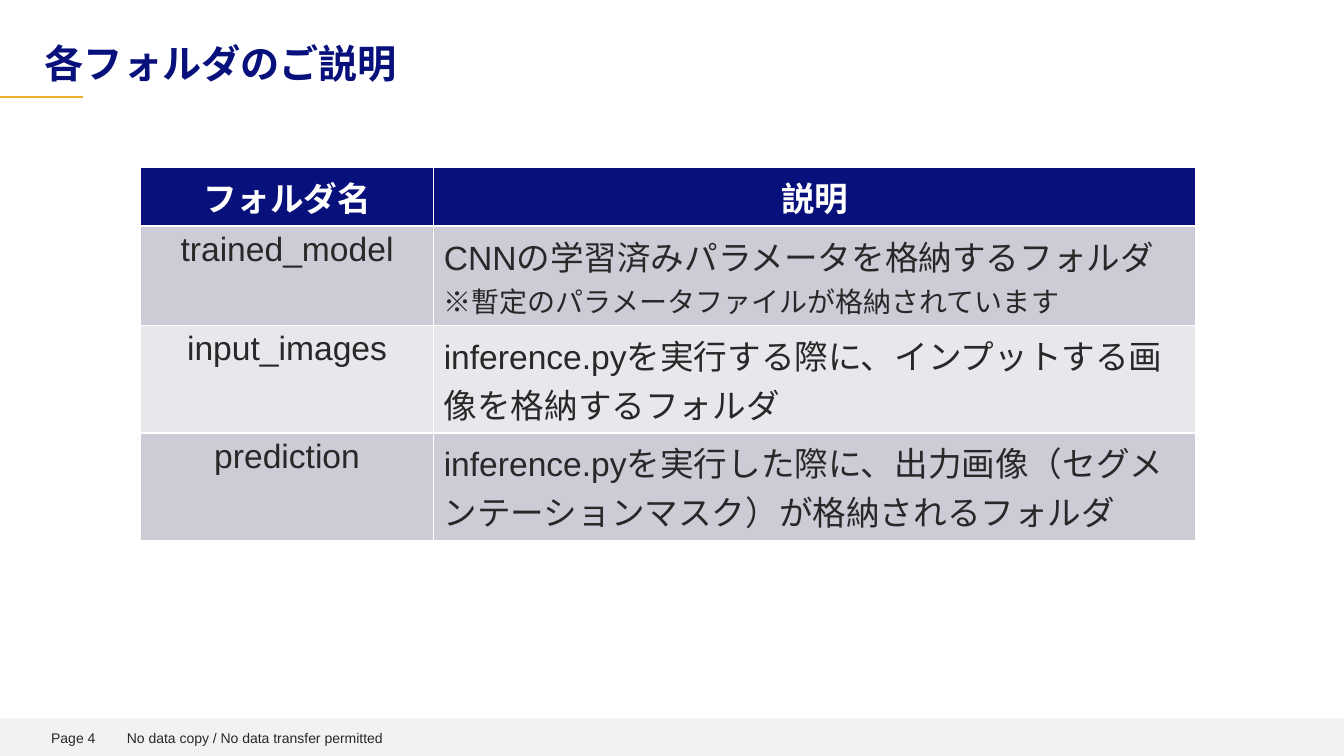
import lxml.etree
import pptx
import pptx.dml.color
import pptx.enum.shapes
import pptx.enum.text
import pptx.oxml.ns
import pptx.util

Pt = pptx.util.Pt
ALIGN = pptx.enum.text.PP_ALIGN
ANCHOR = pptx.enum.text.MSO_ANCHOR

FONT = "Arial"
NAVY, GOLD, WHITE = "08107B", "E9B226", "FFFFFF"
DARK, FOOTER_GREY = "282828", "F2F2F2"
BANDS = ("CCCCD7", "E7E7EC")

HEADERS = ("フォルダ名", "説明")
FOLDERS = (
    ("trained_model", "CNNの学習済みパラメータを格納するフォルダ",
     "※暫定のパラメータファイルが格納されています"),
    ("input_images", "inference.pyを実行する際に、インプットする画像を格納するフォルダ"),
    ("prediction",
     "inference.pyを実行した際に、出力画像（セグメンテーションマスク）が格納されるフォルダ"),
)
COLUMN_WIDTHS = (209.5, 544.3)
ROW_HEIGHTS = (41.8, 71, 76.8, 76.8)


def color(value):
    return pptx.dml.color.RGBColor.from_string(value)


def add_run(paragraph, text, size, text_color, bold=False):
    run = paragraph.add_run()
    run.text = text
    run.font.name = FONT
    run.font.size = Pt(size)
    run.font.bold = bold
    run.font.color.rgb = color(text_color)


def set_title(slide, text):
    title = slide.shapes.title
    title.left, title.top, title.width, title.height = Pt(32), Pt(31.7), Pt(895.7), Pt(30.2)
    frame = title.text_frame
    frame.margin_left = frame.margin_top = frame.margin_right = frame.margin_bottom = 0
    frame.vertical_anchor = ANCHOR.BOTTOM
    frame.auto_size = pptx.enum.text.MSO_AUTO_SIZE.SHAPE_TO_FIT_TEXT
    paragraph = frame.paragraphs[0]
    paragraph.alignment = ALIGN.LEFT
    paragraph.line_spacing = 0.9
    add_run(paragraph, text, 28, NAVY, True)


def add_title_rule(slide):
    rule = slide.shapes.add_connector(
        pptx.enum.shapes.MSO_CONNECTOR.STRAIGHT, Pt(0), Pt(69.3), Pt(59.5), Pt(69.3))
    rule.line.color.rgb = color(GOLD)
    rule.line.width = Pt(1.5)
    lxml.etree.SubElement(rule._element.spPr, pptx.oxml.ns.qn("a:effectLst"))


def add_footer_band(slide):
    band = slide.shapes.add_shape(
        pptx.enum.shapes.MSO_SHAPE.RECTANGLE, Pt(0), Pt(513.2), Pt(960), Pt(26.8))
    band.shadow.inherit = False
    band.fill.solid()
    band.fill.fore_color.rgb = color(FOOTER_GREY)
    band.line.fill.background()


def add_footer_text(slide, left, width, text):
    box = slide.shapes.add_textbox(Pt(left), Pt(516.2), Pt(width), Pt(22))
    box.text_frame.word_wrap = True
    box.text_frame.vertical_anchor = ANCHOR.MIDDLE
    add_run(box.text_frame.paragraphs[0], text, 10, DARK)


def set_borders(cell, widths):
    """Give the cell white borders; widths maps a side (L, R, T, B) to points."""
    properties = cell._tc.get_or_add_tcPr()
    for position, (side, width) in enumerate(widths.items()):
        line = lxml.etree.Element(pptx.oxml.ns.qn(f"a:ln{side}"), w=str(Pt(width)))
        fill = lxml.etree.SubElement(line, pptx.oxml.ns.qn("a:solidFill"))
        lxml.etree.SubElement(fill, pptx.oxml.ns.qn("a:srgbClr"), val=WHITE)
        properties.insert(position, line)


def format_cell(cell, fill, top, bottom):
    cell.fill.solid()
    cell.fill.fore_color.rgb = color(fill)
    set_borders(cell, {"L": 1, "R": 1, "T": top, "B": bottom})


def add_note(cell, text):
    """Add a smaller paragraph with a hanging indent."""
    paragraph = cell.text_frame.add_paragraph()
    properties = paragraph._p.get_or_add_pPr()
    properties.set("marL", str(Pt(21)))
    properties.set("indent", str(-Pt(21)))
    add_run(paragraph, text, 20, DARK)


def add_folder_table(slide):
    frame = slide.shapes.add_table(
        len(ROW_HEIGHTS), len(HEADERS), Pt(100.3), Pt(119.7),
        Pt(sum(COLUMN_WIDTHS)), Pt(sum(ROW_HEIGHTS)))
    table = frame.table
    for column, width in zip(table.columns, COLUMN_WIDTHS):
        column.width = Pt(width)
    for row, height in zip(table.rows, ROW_HEIGHTS):
        row.height = Pt(height)

    for index, header in enumerate(HEADERS):
        cell = table.cell(0, index)
        format_cell(cell, NAVY, 1, 2)
        paragraph = cell.text_frame.paragraphs[0]
        paragraph.alignment = ALIGN.CENTER
        add_run(paragraph, header, 24, WHITE, True)

    for index, (name, description, *notes) in enumerate(FOLDERS):
        for column, text in enumerate((name, description)):
            cell = table.cell(index + 1, column)
            format_cell(cell, BANDS[index % 2], 2 if index == 0 else 1, 1)
            paragraph = cell.text_frame.paragraphs[0]
            paragraph.alignment = ALIGN.LEFT if column else ALIGN.CENTER
            add_run(paragraph, text, 24, DARK)
        for note in notes:
            add_note(table.cell(index + 1, 1), note)


def main():
    presentation = pptx.Presentation()
    presentation.slide_width, presentation.slide_height = Pt(960), Pt(540)
    slide = presentation.slides.add_slide(presentation.slide_layouts[5])
    add_title_rule(slide)
    add_footer_band(slide)
    add_footer_text(slide, 83.5, 317.5, "No data copy / No data transfer permitted")
    add_footer_text(slide, 29.5, 62.6, "Page 4")
    set_title(slide, "各フォルダのご説明")
    add_folder_table(slide)
    presentation.save("out.pptx")


if __name__ == "__main__":
    main()
